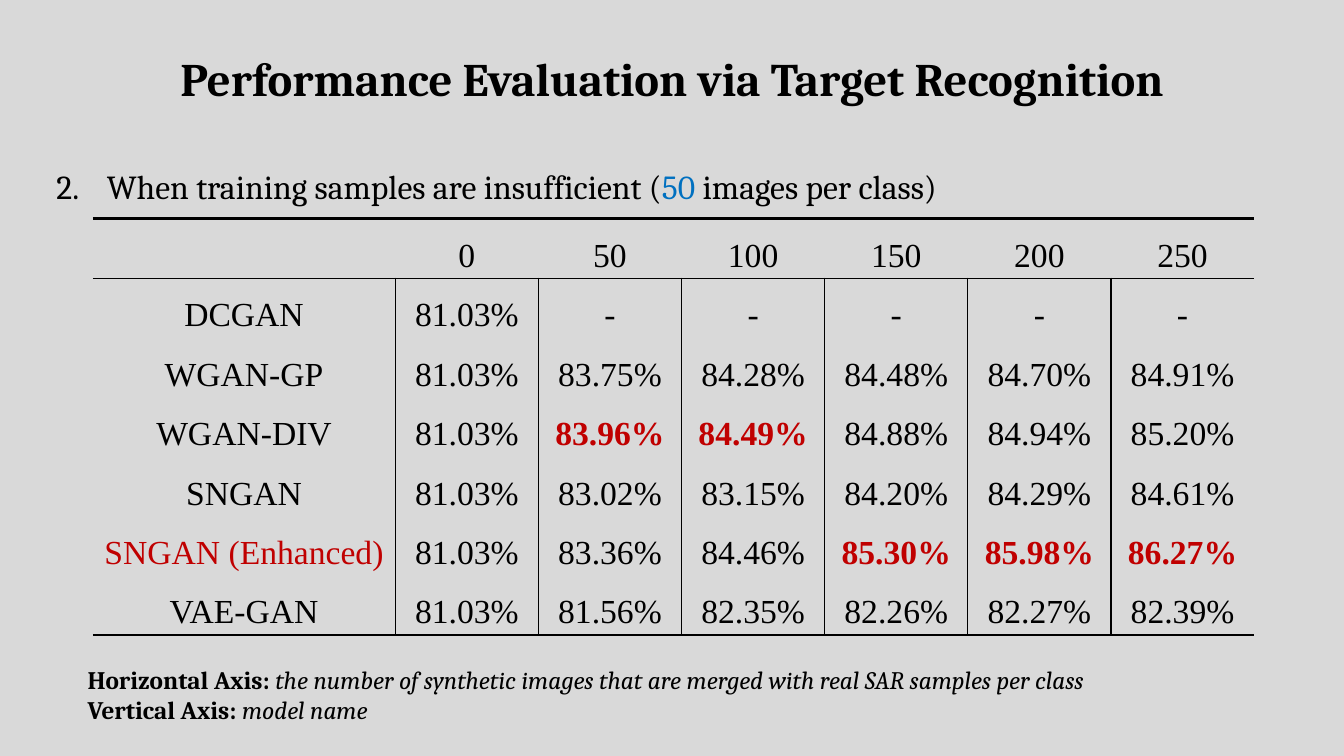
import pptx
import pptx.util
import pptx.dml.color
import pptx.enum.text
import pptx.oxml
import pptx.oxml.ns
import lxml.etree

Inches = pptx.util.Inches
Pt = pptx.util.Pt
ALIGN = pptx.enum.text.PP_ALIGN
ANCHOR = pptx.enum.text.MSO_ANCHOR
FIT = pptx.enum.text.MSO_AUTO_SIZE

BLACK, RED, BLUE, GREY = "000000", "C00000", "0070C0", "D9D9D9"
SERIF, ROMAN = "Cambria", "Times New Roman"
THIN, THICK = 1, 2.25

ROWS = [
    ["", "0", "50", "100", "150", "200", "250"],
    ["DCGAN", "81.03%", "-", "-", "-", "-", "-"],
    ["WGAN-GP", "81.03%", "83.75%", "84.28%", "84.48%", "84.70%", "84.91%"],
    ["WGAN-DIV", "81.03%", "83.96%", "84.49%", "84.88%", "84.94%", "85.20%"],
    ["SNGAN", "81.03%", "83.02%", "83.15%", "84.20%", "84.29%", "84.61%"],
    ["SNGAN (Enhanced)", "81.03%", "83.36%", "84.46%", "85.30%", "85.98%", "86.27%"],
    ["VAE-GAN", "81.03%", "81.56%", "82.35%", "82.26%", "82.27%", "82.39%"],
]
BEST = {"83.96%", "84.49%", "85.30%", "85.98%", "86.27%"}
OURS = "SNGAN (Enhanced)"


def paint(hue):
    return pptx.dml.color.RGBColor.from_string(hue)


def style(run, size, face=SERIF, hue=BLACK, bold=False, slant=False):
    font = run.font
    font.size = Pt(size)
    font.name = face
    font.color.rgb = paint(hue)
    font.bold = bold
    font.italic = slant


def place(shape, left, top, width, height):
    shape.left, shape.top = Inches(left), Inches(top)
    shape.width, shape.height = Inches(width), Inches(height)


def add_run(para, text, size, **look):
    run = para.add_run()
    run.text = text
    style(run, size, **look)


def set_title(title):
    place(title, 0.92, 0.38, 11.5, 0.73)
    frame = title.text_frame
    frame.text = "Performance Evaluation via Target Recognition"
    frame.vertical_anchor = ANCHOR.BOTTOM
    frame.auto_size = FIT.NONE
    para = frame.paragraphs[0]
    para.alignment = ALIGN.CENTER
    para.line_spacing = 0.9
    style(para.runs[0], 33.3, bold=True)


def number(para, start):
    props = para._p.get_or_add_pPr()
    props.set("marL", str(Inches(0.5)))
    props.set("indent", str(-Inches(0.5)))
    mark = lxml.etree.SubElement(props, pptx.oxml.ns.qn("a:buAutoNum"))
    mark.set("type", "arabicPeriod")
    mark.set("startAt", str(start))


def set_list(body):
    place(body, 0.46, 1.6, 12.66, 0.5)
    body.text_frame.auto_size = FIT.NONE
    para = body.text_frame.paragraphs[0]
    number(para, 2)
    para.space_before = Pt(0)
    add_run(para, "When training samples are insufficient (", 24)
    add_run(para, "50", 24, hue=BLUE)
    add_run(para, " images per class)", 24)


def rule(cell, side, width):
    props = cell._tc.get_or_add_tcPr()
    line = lxml.etree.SubElement(props, pptx.oxml.ns.qn("a:ln" + side))
    if not width:
        lxml.etree.SubElement(line, pptx.oxml.ns.qn("a:noFill"))
        return
    line.set("w", str(Pt(width)))
    fill = lxml.etree.SubElement(line, pptx.oxml.ns.qn("a:solidFill"))
    lxml.etree.SubElement(fill, pptx.oxml.ns.qn("a:srgbClr")).set("val", BLACK)


def set_cell(cell, text):
    cell.margin_left = cell.margin_right = Inches(0.07)
    cell.margin_top = cell.margin_bottom = 0
    cell.text_frame.text = text
    para = cell.text_frame.paragraphs[0]
    para.alignment = ALIGN.CENTER
    para.line_spacing = 1.5
    hue = RED if text in BEST or text == OURS else BLACK
    for run in para.runs:
        style(run, 24, ROMAN, hue, bold=text in BEST)


def edge(cell, row, col):
    last_row, last_col = len(ROWS) - 1, len(ROWS[0]) - 1
    rule(cell, "L", THIN if row and col else 0)
    rule(cell, "R", THIN if row and col < last_col else 0)
    rule(cell, "T", {0: THICK, 1: THIN}.get(row, 0))
    rule(cell, "B", {0: THIN, last_row: THICK}.get(row, 0))
    cell.fill.background()


def add_grid(slide):
    frame = slide.shapes.add_table(
        len(ROWS), len(ROWS[0]),
        Inches(0.92), Inches(2.17), Inches(11.5), Inches(4.13))
    table = frame.table
    table.first_row = table.horz_banding = False
    for col, column in enumerate(table.columns):
        column.width = Inches(1.42 if col else 3)
    for row, texts in enumerate(ROWS):
        table.rows[row].height = Inches(0.59)
        for col, text in enumerate(texts):
            cell = table.cell(row, col)
            set_cell(cell, text)
            edge(cell, row, col)


def add_key(slide):
    box = slide.shapes.add_textbox(
        Inches(0.77), Inches(6.54), Inches(12.66), Inches(0.71))
    frame = box.text_frame
    frame.word_wrap = True
    lines = [
        ("Horizontal Axis: ", "the number of synthetic images that are "
         "merged with real SAR samples per class"),
        ("Vertical Axis:", " model name"),
    ]
    for i, (label, text) in enumerate(lines):
        para = frame.add_paragraph() if i else frame.paragraphs[0]
        add_run(para, label, 18, bold=True)
        add_run(para, text, 18, slant=True)


def main():
    deck = pptx.Presentation()
    deck.slide_width, deck.slide_height = Inches(13.33), Inches(7.5)
    slide = deck.slides.add_slide(deck.slide_layouts[1])
    slide.background.fill.solid()
    slide.background.fill.fore_color.rgb = paint(GREY)
    set_title(slide.shapes.title)
    set_list(slide.placeholders[1])
    add_grid(slide)
    add_key(slide)
    deck.save("out.pptx")


if __name__ == "__main__":
    main()
